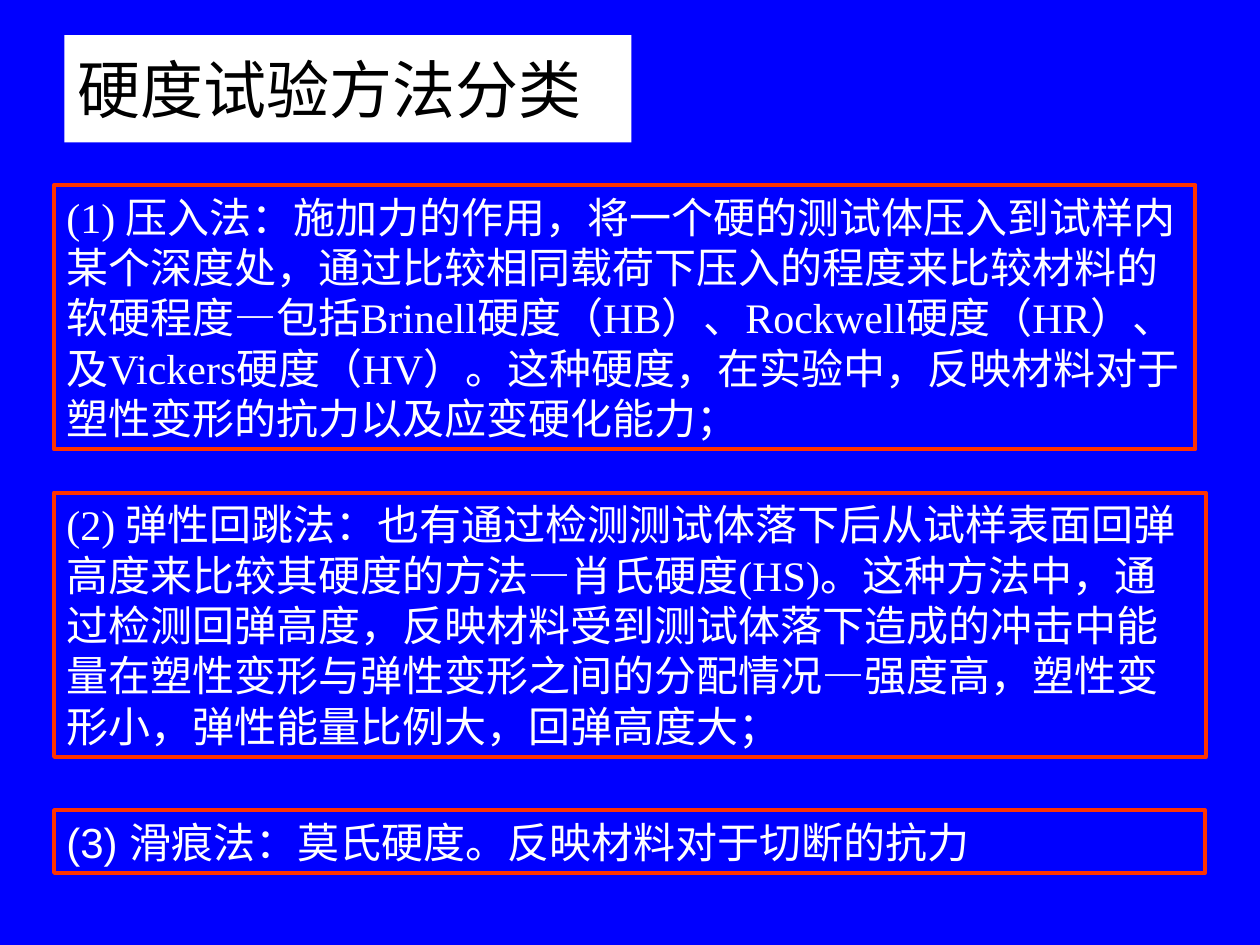
from pptx import Presentation
from pptx.dml.color import RGBColor
from pptx.enum.text import MSO_ANCHOR, MSO_AUTO_SIZE, PP_ALIGN
from pptx.util import Cm, Pt

COLORS = {"background": "0000FF", "panel": "FFFFFF", "title": "000000",
          "text": "FFFFFF", "border": "FF3300"}
RGB = {name: RGBColor.from_string(value) for name, value in COLORS.items()}


def set_font(p, name, size, color):
    p.font.name = name
    p.font.size = Pt(size)
    p.font.color.rgb = RGB[color]


prs = Presentation()
prs.slide_width, prs.slide_height = Cm(25.4), Cm(19.05)
s = prs.slides.add_slide(prs.slide_layouts[5])
s.background.fill.solid()
s.background.fill.fore_color.rgb = RGB["background"]

title = s.shapes.title
title.left, title.top, title.width, title.height = Cm(1.3), Cm(0.71), Cm(11.43), Cm(2.16)
title.fill.solid()
title.fill.fore_color.rgb = RGB["panel"]
tf = title.text_frame
tf.text = "硬度试验方法分类"
tf.vertical_anchor = MSO_ANCHOR.MIDDLE
tf.auto_size = MSO_AUTO_SIZE.NONE
p = tf.paragraphs[0]
p.alignment = PP_ALIGN.LEFT
set_font(p, "Arial", 36, "title")

# top, width, height in cm, font, text
methods = [
    (3.73, 23.01, 5.33, "Times New Roman",
     "(1) 压入法：施加力的作用，将一个硬的测试体压入到试样内某个深度处，"
     "通过比较相同载荷下压入的程度来比较材料的软硬程度—包括Brinell硬度（HB）、"
     "Rockwell硬度（HR）、及Vickers硬度（HV）。这种硬度，在实验中，"
     "反映材料对于塑性变形的抗力以及应变硬化能力；"),
    (9.93, 23.22, 5.33, "Times New Roman",
     "(2) 弹性回跳法：也有通过检测测试体落下后从试样表面回弹高度来比较其硬度的方法"
     "—肖氏硬度(HS)。这种方法中，通过检测回弹高度，"
     "反映材料受到测试体落下造成的冲击中能量在塑性变形与弹性变形之间的分配情况"
     "—强度高，塑性变形小，弹性能量比例大，回弹高度大；"),
    (16.33, 23.2, 1.27, "Arial", "(3) 滑痕法：莫氏硬度。反映材料对于切断的抗力"),
]
for top, width, height, font, text in methods:
    box = s.shapes.add_textbox(Cm(1.09), Cm(top), Cm(width), Cm(height))
    box.line.color.rgb = RGB["border"]
    box.line.width = Pt(2.25)
    tf = box.text_frame
    tf.word_wrap = True
    tf.auto_size = MSO_AUTO_SIZE.SHAPE_TO_FIT_TEXT
    tf.text = text
    set_font(tf.paragraphs[0], font, 24, "text")

prs.save("out.pptx")
